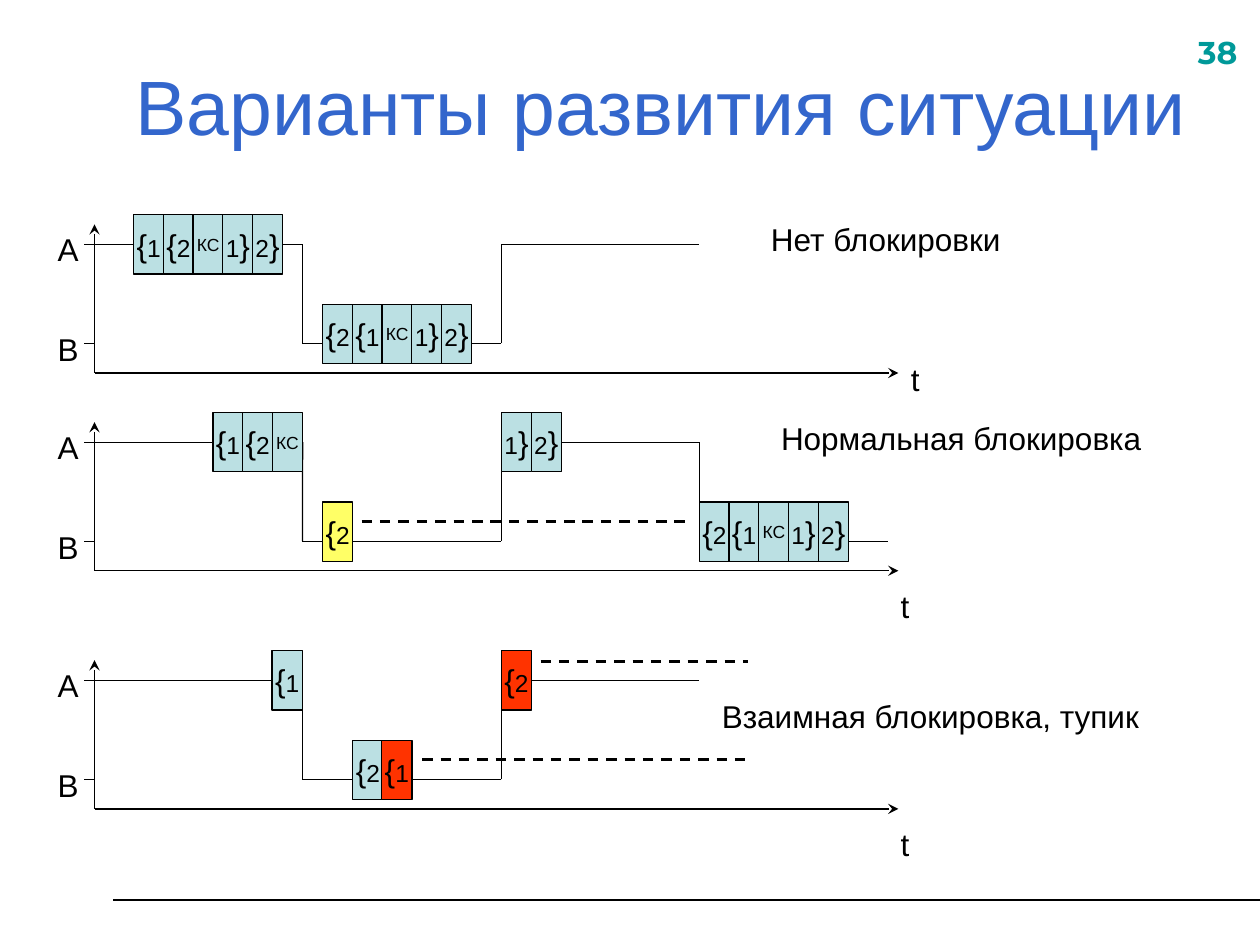
from dataclasses import dataclass

from lxml import etree
from pptx import Presentation
from pptx import util as u
from pptx.dml.color import RGBColor
from pptx.enum import dml, shapes, text
from pptx.oxml.ns import qn


@dataclass(frozen=True)
class Theme:
    ink: str = "000000"
    title: str = "3366CC"
    number: str = "009999"
    free: str = "BBE0E3"
    wait: str = "FFFF66"
    dead: str = "FF3300"
    font: str = "Arial"
    accent: str = "Montserrat"
    head: int = 44
    body: int = 18
    digit: int = 14
    small: int = 10
    thin: float = 0.75
    rule: float = 1.25
    dash: float = 1.5


# Cell size and step, and offsets from the top of a diagram's vertical axis
WIDE, TALL, STEP = 0.24, 0.47, 0.236
LEVEL = {"A": 0.16, "B": 0.945}
CELL = {"A": LEVEL["A"] - TALL / 2, "B": 0.635}
LABEL = {"A": 0, "B": 0.79}
BASE = 1.18
LEFT, RIGHT, TICK = 0.75, 7.13, 0.67
TURNS = [2.4, 3.98, 5.55]


class Board:
    def __init__(self, slide, theme):
        self.slide, self.theme = slide, theme
        self.cells, self.wires = [], []

    def run(self, para, words, size, color=None, font=None, bold=False):
        run = para.add_run()
        run.text = words
        run.font.size = u.Pt(size)
        run.font.name = font or self.theme.font
        run.font.bold = bold
        run.font.color.rgb = RGBColor.from_string(color or self.theme.ink)

    def title(self, words, x, y, w, h):
        box = self.slide.shapes.title
        box.left, box.top, box.width, box.height = map(u.Inches, (x, y, w, h))
        frame = box.text_frame
        frame.auto_size = text.MSO_AUTO_SIZE.NONE
        frame.vertical_anchor = text.MSO_ANCHOR.MIDDLE
        para = frame.paragraphs[0]
        para.alignment = text.PP_ALIGN.CENTER
        self.run(para, words, self.theme.head, self.theme.title)

    def label(self, words, x, y, w, h=0.4, wrap=True, **style):
        box = self.slide.shapes.add_textbox(*map(u.Inches, (x, y, w, h)))
        frame = box.text_frame
        frame.word_wrap = wrap
        frame.auto_size = text.MSO_AUTO_SIZE.SHAPE_TO_FIT_TEXT
        self.run(frame.paragraphs[0], words, self.theme.body, **style)

    def line(self, x1, y1, x2, y2, width=None, dash=False, arrow=None):
        wire = self.slide.shapes.add_connector(
            shapes.MSO_CONNECTOR.STRAIGHT, *map(u.Inches, (x1, y1, x2, y2)))
        wire.line.color.rgb = RGBColor.from_string(self.theme.ink)
        wire.line.width = u.Pt(width or self.theme.thin)
        if dash:
            wire.line.dash_style = dml.MSO_LINE.DASH
        props = wire.line._get_or_add_ln()
        if arrow:
            etree.SubElement(props, qn(f"a:{arrow}End"), type="stealth")
        etree.SubElement(props.getparent(), qn("a:effectLst"))
        self.wires.append(wire)

    def cell(self, words, x, y, fill):
        box = self.slide.shapes.add_shape(
            shapes.MSO_SHAPE.RECTANGLE, *map(u.Inches, (x, y, WIDE, TALL)))
        box.shadow.inherit = False
        box.fill.solid()
        box.fill.fore_color.rgb = RGBColor.from_string(fill)
        box.line.color.rgb = RGBColor.from_string(self.theme.ink)
        box.line.width = u.Pt(self.theme.thin)
        frame = box.text_frame
        frame.word_wrap = False
        frame.vertical_anchor = text.MSO_ANCHOR.MIDDLE
        para = frame.paragraphs[0]
        para.alignment = text.PP_ALIGN.CENTER
        if words.isalpha():
            self.run(para, words, self.theme.small)
        else:
            for sign in words:
                size = self.theme.digit if sign.isdigit() else self.theme.body
                self.run(para, sign, size)
        self.cells.append(box)

    def strip(self, words, x, y, fill):
        for i, word in enumerate(words.split()):
            self.cell(word, x + i * STEP, y, fill)

    def chart(self, top):
        """Axes, the switching path between A and B, and the level labels."""
        a, b, base = top + LEVEL["A"], top + LEVEL["B"], top + BASE
        self.line(LEFT, top, LEFT, base, arrow="head")
        self.line(LEFT, base, RIGHT, base, arrow="tail")
        first, second, last = TURNS
        path = [(TICK, a), (first, a), (first, b), (second, b), (second, a), (last, a)]
        for start, end in zip(path, path[1:]):
            self.line(*start, *end)
        self.line(LEFT, b, TICK, b)
        for name, gap in LABEL.items():
            self.label(name, 0.36, top + gap, 0.36, wrap=False)

    def join(self):
        """Attach line ends that lie at the middle of a cell's side."""
        near = u.Inches(0.01)
        for wire in self.wires:
            ends = [(wire.begin_x, wire.begin_y, wire.begin_connect),
                    (wire.end_x, wire.end_y, wire.end_connect)]
            for x, y, link in ends:
                for box in self.cells:
                    mid = box.top + box.height // 2
                    for side, edge in ((1, box.left), (3, box.left + box.width)):
                        if abs(x - edge) < near and abs(y - mid) < near:
                            link(box, side)


def main():
    deck = Presentation()
    deck.slide_width, deck.slide_height = u.Inches(10), u.Inches(7.5)
    theme = Theme()
    board = Board(deck.slides.add_slide(deck.slide_layouts[5]), theme)

    # Frame of the slide
    board.line(0.9, 7.14, 10, 7.14, width=theme.rule)
    board.label("38", 9.41, 0.21, 0.63, 0.44,
                color=theme.number, font=theme.accent, bold=True)
    board.title("Варианты развития ситуации", 0.75, 0.28, 9, 1.1)

    # Each case: axis top, caption and its box, place of t, cell strips, dashed waits
    full_a, full_b = "{1 {2 КС 1} 2}", "{2 {1 КС 1} 2}"
    cases = [
        (1.78, ("Нет блокировки", 6.02, 1.7, 3.31), (7.13, 2.81),
         [("A", 1.06, full_a, theme.free), ("B", 2.56, full_b, theme.free)], []),
        (3.35, ("Нормальная блокировка", 6.1, 3.28, 3.31), (7.05, 4.61),
         [("A", 1.69, "{1 {2 КС", theme.free), ("A", 3.98, "1} 2}", theme.free),
          ("B", 2.56, "{2", theme.wait), ("B", 5.55, full_b, theme.free)],
         [(2.87, 5.47, 4.14)]),
        (5.24, ("Взаимная блокировка, тупик", 5.63, 5.48, 3.62), (7.05, 6.5),
         [("A", 2.16, "{1", theme.free), ("B", 2.8, "{2", theme.free),
          ("B", 3.03, "{1", theme.dead), ("A", 3.98, "{2", theme.dead)],
         [(3.35, 5.94, 6.03), (4.29, 5.94, 5.25)]),
    ]
    for top, caption, time, _, _ in cases:
        board.chart(top)
        board.label("t", *time, 0.79)
        board.label(*caption)

    # Second case: A gives way to B once more
    a, b = (cases[1][0] + LEVEL[name] for name in "AB")
    board.line(TURNS[-1], a, TURNS[-1], b)
    board.line(TURNS[-1], b, 7.05, b)

    # Cells and waits lie over the paths
    for top, _, _, strips, waits in cases:
        for name, x, words, fill in strips:
            board.strip(words, x, top + CELL[name], fill)
        for start, end, y in waits:
            board.line(start, y, end, y, width=theme.dash, dash=True)
    board.join()

    deck.save("out.pptx")


if __name__ == "__main__":
    main()
